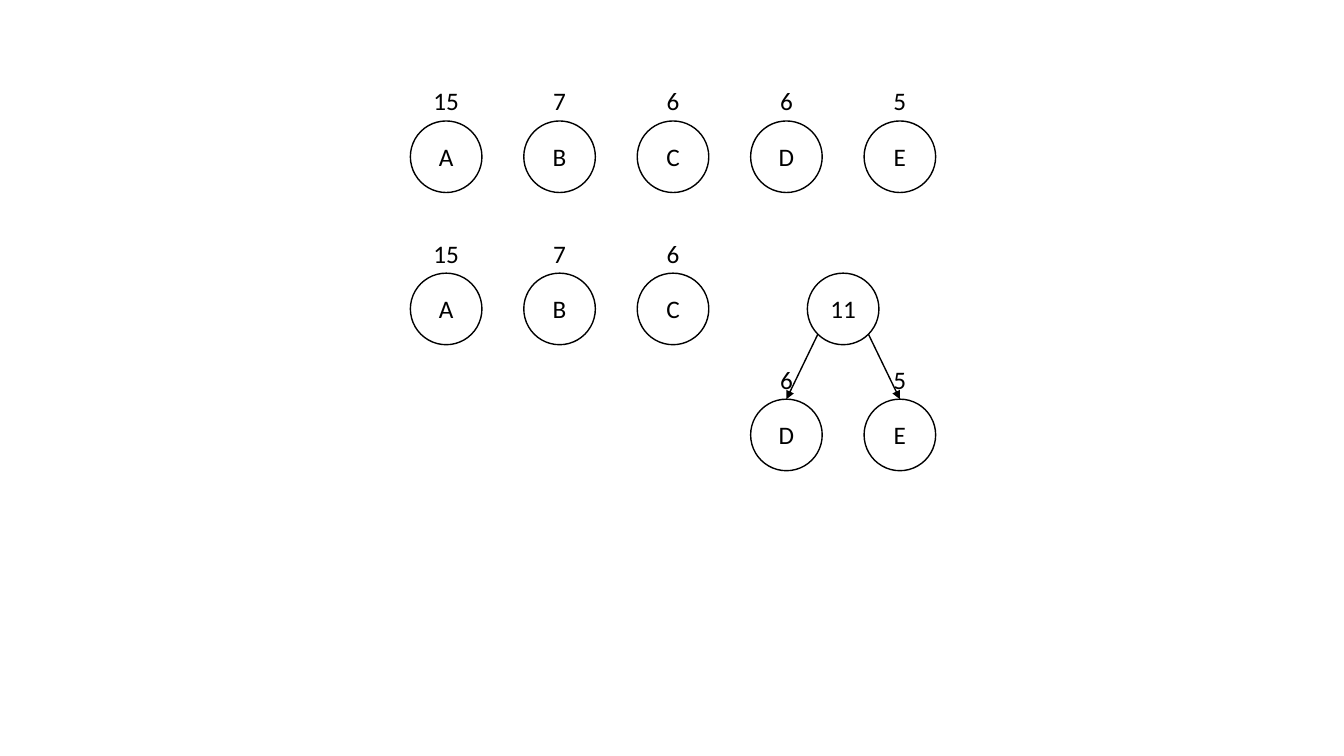
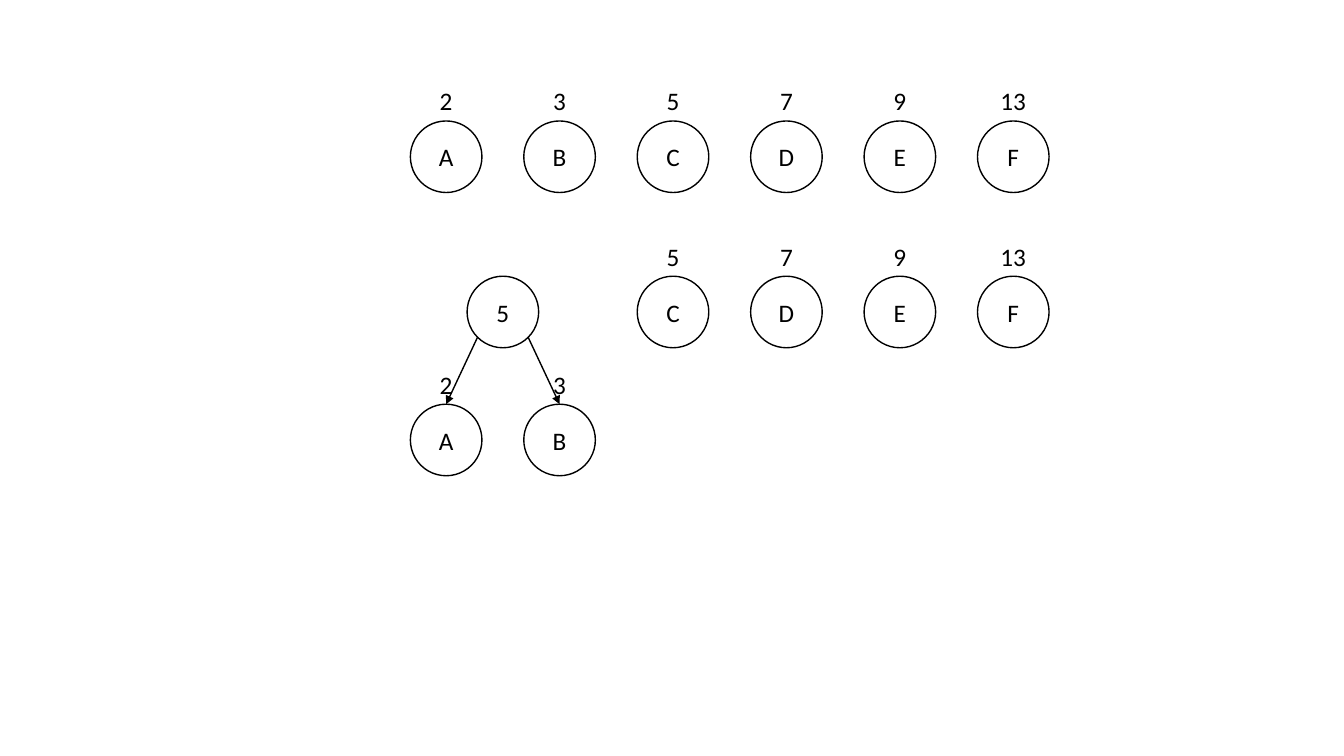
from dataclasses import dataclass
from math import sqrt

from lxml.etree import SubElement
from pptx import Presentation
from pptx.dml.color import RGBColor
from pptx.enum.shapes import MSO_CONNECTOR as Connector, MSO_SHAPE as Shape
from pptx.enum.text import MSO_ANCHOR as Anchor, MSO_AUTO_SIZE as AutoSize, PP_ALIGN as Align
from pptx.oxml.ns import qn
from pptx.util import Inches, Pt


@dataclass(frozen=True)
class Theme:
    ink: RGBColor = RGBColor(0, 0, 0)
    paper: RGBColor = RGBColor(255, 255, 255)
    font: str = "Calibri"
    size: Pt = Pt(18)
    stroke: Pt = Pt(1)


THEME = Theme()
DIAMETER = Inches(0.71)
PITCH = Inches(4.5) // 4
WEIGHT_WIDTH, WEIGHT_HEIGHT = Inches(0.46), Inches(0.4)
LOWER_LEFT, LOWER_RIGHT = 3, 5
FOREST_LEFT, FOREST_TOP = Inches(4.07), Inches(1.2)


def write(frame, text):
    frame.margin_left = frame.margin_right = 0
    frame.vertical_anchor = Anchor.MIDDLE
    frame.word_wrap = False
    paragraph = frame.paragraphs[0]
    paragraph.text = text
    paragraph.alignment = Align.CENTER
    paragraph.font.name = THEME.font
    paragraph.font.size = THEME.size
    paragraph.font.color.rgb = THEME.ink


def add_node(slide, left, top, label, weight=None):
    parts = slide.shapes.add_group_shape().shapes
    circle = parts.add_shape(Shape.OVAL, left, top, DIAMETER, DIAMETER)
    circle.shadow.inherit = False
    circle.fill.solid()
    circle.fill.fore_color.rgb = THEME.paper
    circle.line.color.rgb = THEME.ink
    circle.line.width = THEME.stroke
    write(circle.text_frame, label)
    if weight is not None:
        weight_left = left + (DIAMETER - WEIGHT_WIDTH) // 2
        caption = parts.add_textbox(
            weight_left, top - WEIGHT_HEIGHT, WEIGHT_WIDTH, WEIGHT_HEIGHT)
        write(caption.text_frame, str(weight))
        caption.text_frame.auto_size = AutoSize.SHAPE_TO_FIT_TEXT
    return circle


def add_edge(slide, parent, child, site):
    radius = DIAMETER // 2
    reach = round(radius / sqrt(2))
    side = -1 if site == LOWER_LEFT else 1
    edge = slide.shapes.add_connector(
        Connector.STRAIGHT,
        parent.left + radius + side * reach, parent.top + radius + reach,
        child.left + radius, child.top)
    SubElement(edge._element.nvCxnSpPr.cNvCxnSpPr, qn("a:stCxn"),
               id=str(parent.shape_id), idx=str(site))
    edge.end_connect(child, 0)
    edge.line.color.rgb = THEME.ink
    edge.line.width = THEME.stroke
    SubElement(edge.line._get_or_add_ln(), qn("a:tailEnd"), type="triangle")
    SubElement(edge._element.spPr, qn("a:effectLst"))


def add_row(slide, left, top, weights):
    for column, (label, weight) in enumerate(weights.items()):
        add_node(slide, left + column * PITCH, top, label, weight)


def add_tree(slide, left, top, drop, weights):
    root = add_node(slide, left + PITCH // 2, top, str(sum(weights.values())))
    leaves = [add_node(slide, left + column * PITCH, top + drop, label, weight)
              for column, (label, weight) in enumerate(weights.items())]
    for leaf, site in zip(leaves, (LOWER_LEFT, LOWER_RIGHT)):
        add_edge(slide, root, leaf, site)


def add_merge_slide(deck, weights, merged, step, drop):
    slide = deck.slides.add_slide(deck.slide_layouts[6])
    add_row(slide, FOREST_LEFT, FOREST_TOP, weights)
    labels = list(weights)
    pair = {label: weights[label] for label in merged}
    rest = {label: weights[label] for label in labels if label not in pair}
    rest_left = FOREST_LEFT + labels.index(next(iter(rest))) * PITCH
    pair_left = FOREST_LEFT + labels.index(merged[0]) * PITCH
    add_row(slide, rest_left, FOREST_TOP + step, rest)
    add_tree(slide, pair_left, FOREST_TOP + step, drop, pair)


deck = Presentation()
deck.slide_width, deck.slide_height = Inches(13.33), Inches(7.5)
add_merge_slide(deck, {"A": 15, "B": 7, "C": 6, "D": 6, "E": 5}, "DE",
                Inches(1.51), Inches(1.25))
add_merge_slide(deck, {"A": 2, "B": 3, "C": 5, "D": 7, "E": 9, "F": 13}, "AB",
                Inches(1.54), Inches(1.27))
deck.save("out.pptx")
